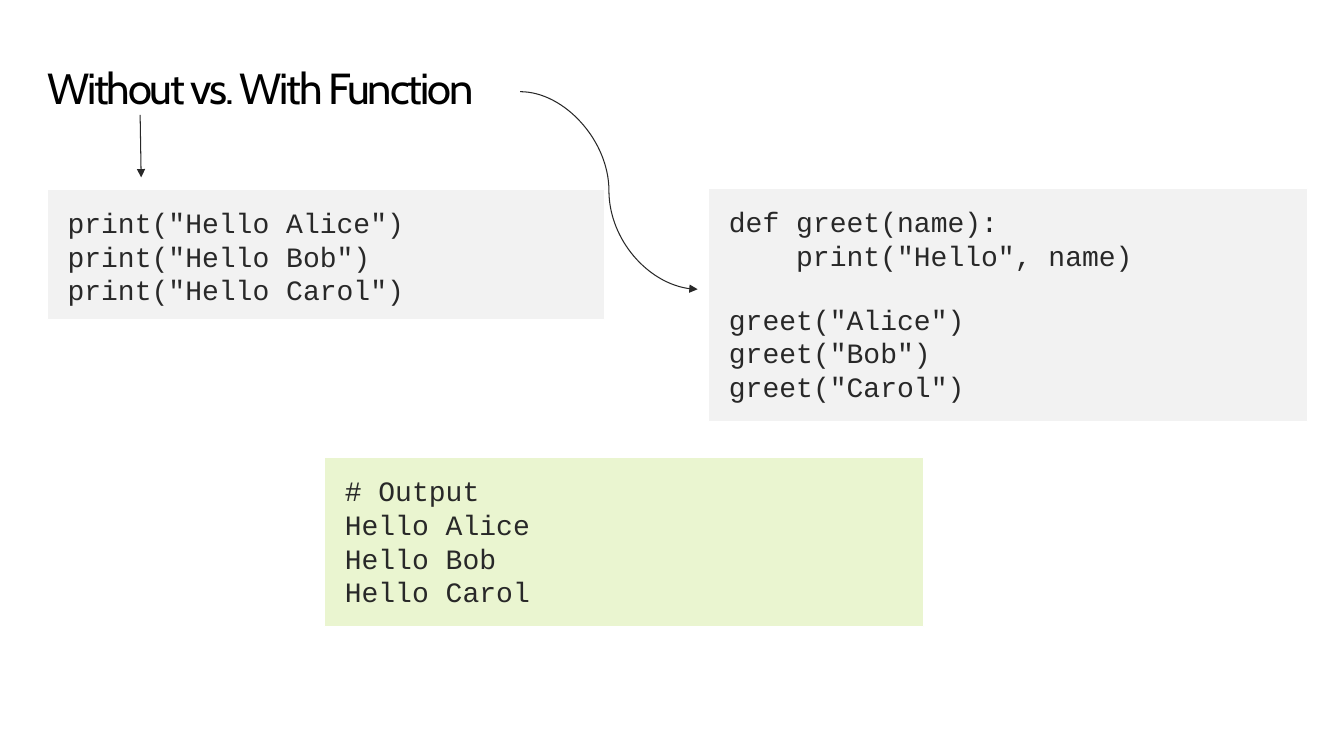
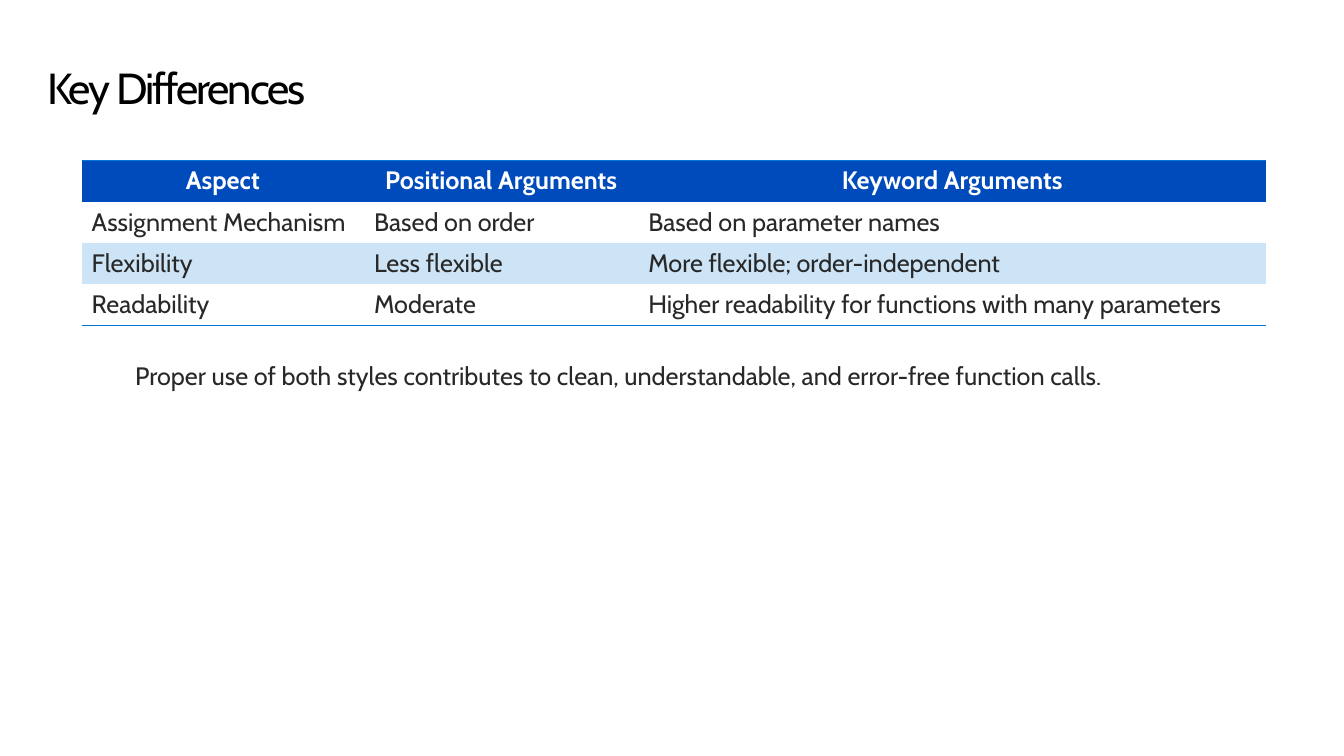
from dataclasses import dataclass

from lxml import etree
from pptx import Presentation
from pptx.dml.color import RGBColor
from pptx.enum.shapes import MSO_CONNECTOR, MSO_SHAPE
from pptx.enum.text import MSO_ANCHOR, MSO_AUTO_SIZE, PP_ALIGN
from pptx.oxml.ns import qn
from pptx.util import Inches, Pt

RECT = MSO_SHAPE.RECTANGLE
STRAIGHT, CURVE = MSO_CONNECTOR.STRAIGHT, MSO_CONNECTOR.CURVE
TOP, MIDDLE = MSO_ANCHOR.TOP, MSO_ANCHOR.MIDDLE
LEFT, CENTER = PP_ALIGN.LEFT, PP_ALIGN.CENTER
NO_AUTOFIT = MSO_AUTO_SIZE.NONE

SANS, MONO = "Cabin", "Courier New"
BLACK, INK, WHITE = "000000", "282828", "FFFFFF"
GREY, GREEN = "F2F2F2", "EAF5D0"
HEADER, RULE, BAND = "004BBC", "0078D4", "CCE4F6"
NO_TABLE_STYLE = "{2D5ABB26-0587-4C30-8999-92F81FD0307C}"
PADDING = (0.2, 0.16, 0.2, 0.16)
CODE_SIZE, CODE_LEADING = 20, 24
CODE_INDENT = Pt(4 * 0.6 * CODE_SIZE)  # four monospaced characters


@dataclass
class CodeLine:
    text: str
    indented: bool = False
    gap_before: float = 0


@dataclass
class CodeBox:
    at: tuple[float, float, float, float]
    fill: str
    lines: list[CodeLine]


@dataclass
class Arrow:
    kind: int
    start: tuple[float, float]
    end: tuple[float, float]


CODE_BOXES = [
    CodeBox((0.47, 1.88, 5.53, 1.29), GREY, [
        CodeLine('print("Hello Alice")'),
        CodeLine('print("Hello Bob")'),
        CodeLine('print("Hello Carol")'),
    ]),
    CodeBox((7.03, 1.87, 5.94, 2.31), GREY, [
        CodeLine("def greet(name):"),
        CodeLine('print("Hello", name)', indented=True),
        CodeLine('greet("Alice")', gap_before=21.6),
        CodeLine('greet("Bob")'),
        CodeLine('greet("Carol")'),
    ]),
    CodeBox((3.22, 4.54, 5.94, 1.68), GREEN, [
        CodeLine("# Output"),
        CodeLine("Hello Alice"),
        CodeLine("Hello Bob"),
        CodeLine("Hello Carol"),
    ]),
]
ARROWS = [
    Arrow(STRAIGHT, (1.39, 1.14), (1.4, 1.76)),
    Arrow(CURVE, (5.16, 0.91), (6.92, 2.87)),
]
COLUMN_WIDTHS = (2.8, 2.72, 6.23)
ROW_HEIGHT = 0.41
ROWS = [
    ("Aspect", "Positional Arguments", "Keyword Arguments"),
    ("Assignment Mechanism", "Based on order", "Based on parameter names"),
    ("Flexibility", "Less flexible", "More flexible; order-independent"),
    ("Readability", "Moderate", "Higher readability for functions with many parameters"),
]


def rgb(color: str) -> RGBColor:
    return RGBColor.from_string(color)


def inches(values) -> list[int]:
    return [Inches(v) for v in values]


def set_frame(tf, insets) -> None:
    left, top, right, bottom = inches(insets)
    frame_format = {
        "margin_left": left, "margin_top": top,
        "margin_right": right, "margin_bottom": bottom,
        "vertical_anchor": TOP, "word_wrap": True, "auto_size": NO_AUTOFIT,
    }
    for name, value in frame_format.items():
        setattr(tf, name, value)


def write(p, text: str, font: str, size: float, color: str, bold=False, align=LEFT):
    p.alignment = align
    r = p.add_run()
    r.text = text
    for name, value in {"name": font, "size": Pt(size), "bold": bold}.items():
        setattr(r.font, name, value)
    r.font.color.rgb = rgb(color)
    return r


def add_titled_slide(prs, title: str):
    s = prs.slides.add_slide(prs.slide_layouts[5])
    sp = s.shapes.title
    sp.left, sp.top, sp.width, sp.height = inches((0.47, 0.48, 12.39, 0.81))
    set_frame(sp.text_frame, (0, 0.18, 0, 0))
    p = sp.text_frame.paragraphs[0]
    p.line_spacing = 0.9
    r = write(p, title, SANS, 31, BLACK)
    r.font._element.set("spc", "-150")
    return s


def add_code_box(s, box: CodeBox) -> None:
    sp = s.shapes.add_shape(RECT, *inches(box.at))
    sp.shadow.inherit = False
    sp.fill.solid()
    sp.fill.fore_color.rgb = rgb(box.fill)
    sp.line.color.rgb = rgb(WHITE)
    sp.line.width = Pt(0.75)
    tf = sp.text_frame
    set_frame(tf, PADDING)
    for i, line in enumerate(box.lines):
        p = tf.add_paragraph() if i else tf.paragraphs[0]
        p.line_spacing = Pt(CODE_LEADING)
        p.space_before = Pt(line.gap_before)
        if line.indented:
            p._p.get_or_add_pPr().set("marL", str(CODE_INDENT))
        write(p, line.text, MONO, CODE_SIZE, INK)


def add_arrow(s, arrow: Arrow) -> None:
    line = s.shapes.add_connector(arrow.kind, *inches(arrow.start + arrow.end))
    line.line.color.rgb = rgb(INK)
    line.line.width = Pt(0.75)
    etree.SubElement(line.line._get_or_add_ln(), qn("a:tailEnd"), type="triangle")
    etree.SubElement(line._element.spPr, qn("a:effectLst"))


def add_border(cell, side: str) -> None:
    """Rule one side of a cell: side is lnT or lnB."""
    ln = etree.Element(qn(f"a:{side}"), w=str(Pt(1)))
    fill = etree.SubElement(ln, qn("a:solidFill"))
    etree.SubElement(fill, qn("a:srgbClr"), val=RULE)
    cell._tc.get_or_add_tcPr().insert(0, ln)


def add_comparison_table(s) -> None:
    at = (0.81, 1.59, sum(COLUMN_WIDTHS), ROW_HEIGHT * len(ROWS))
    table = s.shapes.add_table(len(ROWS), len(COLUMN_WIDTHS), *inches(at)).table
    table.first_row = table.horz_banding = False
    table._tbl.tblPr.find(qn("a:tableStyleId")).text = NO_TABLE_STYLE
    for column, width in zip(table.columns, COLUMN_WIDTHS):
        column.width = Inches(width)
    fills = (HEADER, WHITE, BAND, WHITE)
    for i, texts in enumerate(ROWS):
        header = i == 0
        table.rows[i].height = Inches(ROW_HEIGHT)
        for j, text in enumerate(texts):
            cell = table.cell(i, j)
            cell.vertical_anchor = MIDDLE
            cell.fill.solid()
            cell.fill.fore_color.rgb = rgb(fills[i])
            write(cell.text_frame.paragraphs[0], text, SANS, 18,
                  WHITE if header else INK, header, CENTER if header else LEFT)
            if header:
                add_border(cell, "lnT")
            elif i == len(ROWS) - 1:
                add_border(cell, "lnB")


def add_summary(s, text: str) -> None:
    tf = s.shapes.add_textbox(*inches((1.14, 3.45, 10.73, 0.6))).text_frame
    set_frame(tf, PADDING)
    p = tf.paragraphs[0]
    p.line_spacing = 0.9
    p.space_after = Pt(6)
    write(p, text, SANS, 18, INK)


def main() -> None:
    prs = Presentation()
    prs.slide_width, prs.slide_height = inches((13.33, 7.5))

    s = add_titled_slide(prs, "Without vs. With Function")
    for box in CODE_BOXES:
        add_code_box(s, box)
    for arrow in ARROWS:
        add_arrow(s, arrow)

    s = add_titled_slide(prs, "Key Differences")
    add_comparison_table(s)
    add_summary(s, "Proper use of both styles contributes to clean, "
                   "understandable, and error-free function calls.")

    prs.save("out.pptx")


if __name__ == "__main__":
    main()
